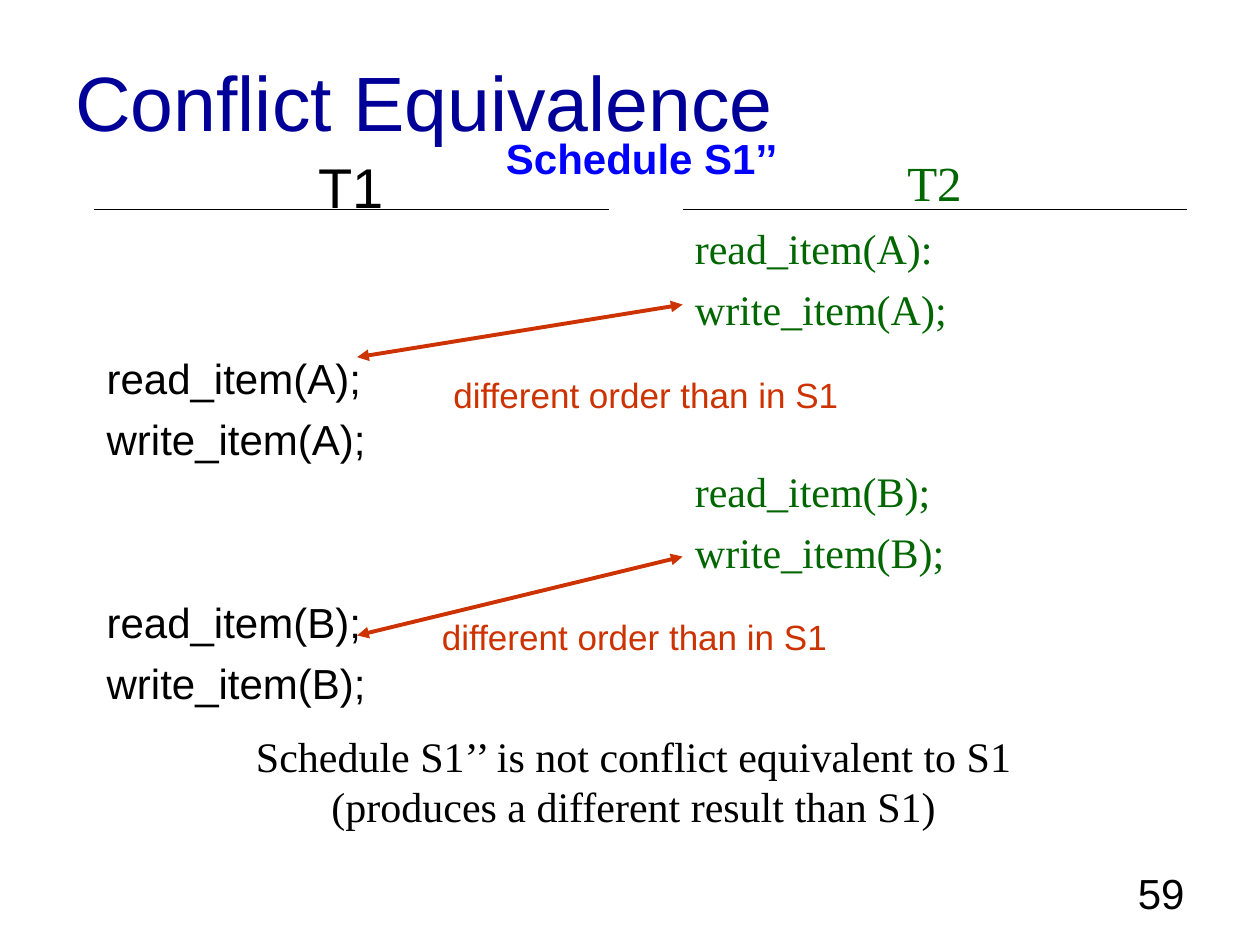
from dataclasses import dataclass

from lxml import etree
from pptx import Presentation
from pptx import util as u
from pptx.dml.color import RGBColor
from pptx.enum import shapes, text
from pptx.oxml.ns import qn


@dataclass(frozen=True)
class Theme:
    sans: str = "Arial"
    serif: str = "Times New Roman"
    navy: str = "000099"
    blue: str = "0000FF"
    green: str = "006600"
    rust: str = "CC3300"
    black: str = "000000"
    title: int = 44
    heading: int = 32
    subheading: int = 28
    body: int = 24
    label: int = 20
    rule: float = 0.75
    arrow: float = 2.25
    leading: float = 1.2
    step_gap: int = 6


class Deck:
    def __init__(self, theme):
        self.theme = theme
        self.prs = Presentation()
        self.prs.slide_width, self.prs.slide_height = u.Cm(25.4), u.Cm(19.05)
        self.s = self.prs.slides.add_slide(self.prs.slide_layouts[6])

    def box(self, x, y, w, h, wrap=True, anchor=text.MSO_ANCHOR.TOP):
        sp = self.s.shapes.add_textbox(u.Cm(x), u.Cm(y), u.Cm(w), u.Cm(h))
        tf = sp.text_frame
        tf.word_wrap = wrap
        tf.vertical_anchor = anchor
        return tf

    def para(self, tf, words, size, font, color, bold=False,
             align=text.PP_ALIGN.LEFT, before=0):
        p = tf.paragraphs[0]
        if p.runs:
            p = tf.add_paragraph()
        p.alignment = align
        p.space_before = u.Pt(before)
        p.line_spacing = u.Pt(size * self.theme.leading)
        r = p.add_run()
        r.text = words
        r.font.size, r.font.name, r.font.bold = u.Pt(size), font, bold
        r.font.color.rgb = RGBColor.from_string(color)

    def transaction(self, x, w, h, name, size, font, color, steps):
        t = self.theme
        tf = self.box(x, 2.96, w, h)
        self.para(tf, name, size, font, color, align=text.PP_ALIGN.CENTER)
        pitch = t.body * t.leading + t.step_gap
        for skipped, words in steps:
            self.para(tf, words, t.body, font, color,
                      before=t.step_gap + skipped * pitch)

    def line(self, x1, y1, x2, y2, color, width, arrows=False):
        sp = self.s.shapes.add_connector(
            shapes.MSO_CONNECTOR.STRAIGHT,
            u.Cm(x1), u.Cm(y1), u.Cm(x2), u.Cm(y2))
        sp.line.color.rgb = RGBColor.from_string(color)
        sp.line.width = u.Pt(width)
        if arrows:
            ln = sp.line._get_or_add_ln()
            for end in ("a:headEnd", "a:tailEnd"):
                etree.SubElement(ln, qn(end), type="triangle")
        etree.SubElement(sp._element.spPr, qn("a:effectLst"))


def main():
    t = Theme()
    d = Deck(t)
    center = text.PP_ALIGN.CENTER
    left_x, left_w, right_x, right_w = 1.9, 10.37, 13.76, 10.16

    d.para(d.box(1.27, 0.43, 22.86, 3.18, anchor=text.MSO_ANCHOR.MIDDLE),
           "Conflict Equivalence", t.title, t.sans, t.navy)

    d.transaction(left_x, left_w, 12.5, "T1", t.heading, t.sans, t.black,
                  [(2, "read_item(A);"), (0, "write_item(A);"),
                   (2, "read_item(B);"), (0, "write_item(B);")])
    d.transaction(right_x, right_w, 14.4, "T2", t.subheading, t.serif, t.green,
                  [(0, "read_item(A):"), (0, "write_item(A);"),
                   (2, "read_item(B);"), (0, "write_item(B);")])
    for x, w in ((left_x, left_w), (right_x, right_w)):
        d.line(x, 4.23, x + w, 4.23, t.black, t.rule)

    d.para(d.box(9.95, 2.54, 6, 1.27, wrap=False),
           "Schedule S1’’", t.body, t.sans, t.blue, bold=True)

    for y1, y2, label_x, label_y in ((7.2, 6.14, 8.89, 7.41),
                                     (12.81, 11.22, 8.66, 12.28)):
        d.line(7.2, y1, right_x, y2, t.rust, t.arrow, arrows=True)
        d.para(d.box(label_x, label_y, 8.28, 1.11, wrap=False),
               "different order than in S1", t.label, t.sans, t.rust)

    tf = d.box(4.85, 14.6, 15.85, 2.29, wrap=False)
    for words in ("Schedule S1’’ is not conflict equivalent to S1",
                  "(produces a different result than S1)"):
        d.para(tf, words, t.body, t.serif, t.black, align=center)

    d.para(d.box(18.2, 17.36, 5.93, 1.32), "59", t.body, t.sans, t.black,
           align=text.PP_ALIGN.RIGHT)

    d.prs.save("out.pptx")


if __name__ == "__main__":
    main()
